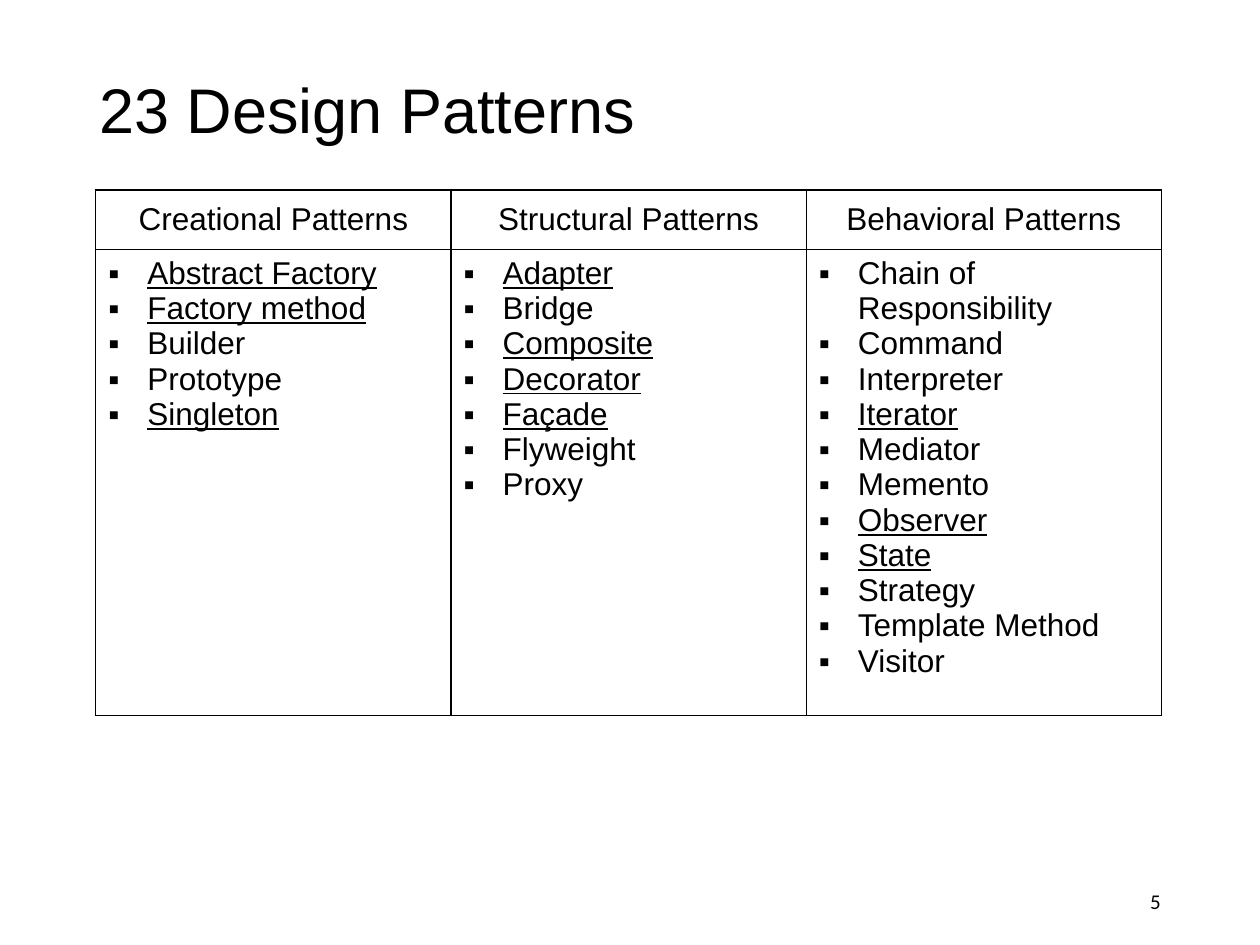
from lxml import etree
from pptx import Presentation, util as u
from pptx.dml.color import RGBColor
from pptx.enum import text as t
from pptx.oxml import ns

BLACK = RGBColor(0, 0, 0)
WHITE = RGBColor(255, 255, 255)
WIDE, HIGH = u.Inches(10), u.Inches(7.5)
LEFT, RIGHT = t.PP_ALIGN.LEFT, t.PP_ALIGN.RIGHT
MID = t.PP_ALIGN.CENTER
INDENT = u.Inches(0.31)

GROUPS = {
    "Creational Patterns": [
        "Abstract Factory", "Factory method", "Builder", "Prototype", "Singleton"],
    "Structural Patterns": [
        "Adapter", "Bridge", "Composite", "Decorator", "Façade", "Flyweight", "Proxy"],
    "Behavioral Patterns": [
        "Chain of Responsibility", "Command", "Interpreter", "Iterator", "Mediator",
        "Memento", "Observer", "State", "Strategy", "Template Method", "Visitor"],
}
MARKED = {"Abstract Factory", "Factory method", "Singleton", "Adapter", "Composite",
          "Decorator", "Façade", "Iterator", "Observer", "State"}


def add_node(root, tag, **attrs):
    return etree.SubElement(root, ns.qn(tag), **attrs)


def add_bullet(para):
    props = para._p.get_or_add_pPr()
    props.set("marL", str(INDENT))
    props.set("indent", str(-INDENT))
    tint = add_node(props, "a:buClr")
    add_node(tint, "a:srgbClr", val=str(BLACK))
    add_node(props, "a:buFont", typeface="Arial")
    add_node(props, "a:buChar", char="▪")


def write(para, words, size=18, font="Arial", align=LEFT, line=None,
          under=False, bullet=False):
    para.alignment = align
    if line:
        para.line_spacing = line
    if bullet:
        add_bullet(para)
    run = para.add_run()
    run.text = words
    run.font.size = u.Pt(size)
    run.font.name = font
    run.font.color.rgb = BLACK
    if under:
        run.font.underline = True


def add_label(slide, box, words, **form):
    frame = slide.shapes.add_textbox(*box).text_frame
    frame.word_wrap = True
    frame.vertical_anchor = t.MSO_ANCHOR.MIDDLE
    write(frame.paragraphs[0], words, **form)


def style_cell(cell):
    props = cell._tc.get_or_add_tcPr()
    for side in "LRTB":
        edge = add_node(props, f"a:ln{side}", w=str(u.Pt(1)))
        fill = add_node(edge, "a:solidFill")
        add_node(fill, "a:srgbClr", val=str(BLACK))
    cell.fill.solid()
    cell.fill.fore_color.rgb = WHITE


def add_grid(slide, box, groups):
    left, top, width, height = box
    table = slide.shapes.add_table(2, len(groups), left, top, width, height).table
    head = u.Inches(0.47)
    table.rows[0].height = head
    table.rows[1].height = height - head
    for col, (name, items) in enumerate(groups.items()):
        table.columns[col].width = width // len(groups)
        title, body = table.cell(0, col), table.cell(1, col)
        style_cell(title)
        style_cell(body)
        title.vertical_anchor = t.MSO_ANCHOR.MIDDLE
        write(title.text_frame.paragraphs[0], name, align=MID)
        frame = body.text_frame
        for row, item in enumerate(items):
            para = frame.add_paragraph() if row else frame.paragraphs[0]
            write(para, item, under=item in MARKED, bullet=True)


def place(*box):
    return [u.Inches(part) for part in box]


def main():
    deck = Presentation()
    deck.slide_width, deck.slide_height = WIDE, HIGH
    slide = deck.slides.add_slide(deck.slide_layouts[6])
    add_label(slide, place(0.69, 0.4, 8.62, 0.99), "23 Design Patterns",
              size=36, line=0.9)
    add_label(slide, place(7.06, 6.95, 2.25, 0.4), "5",
              size=12, font="Calibri", align=RIGHT)
    add_grid(slide, place(0.76, 1.51, 8.46, 4), GROUPS)
    deck.save("out.pptx")


if __name__ == "__main__":
    main()
